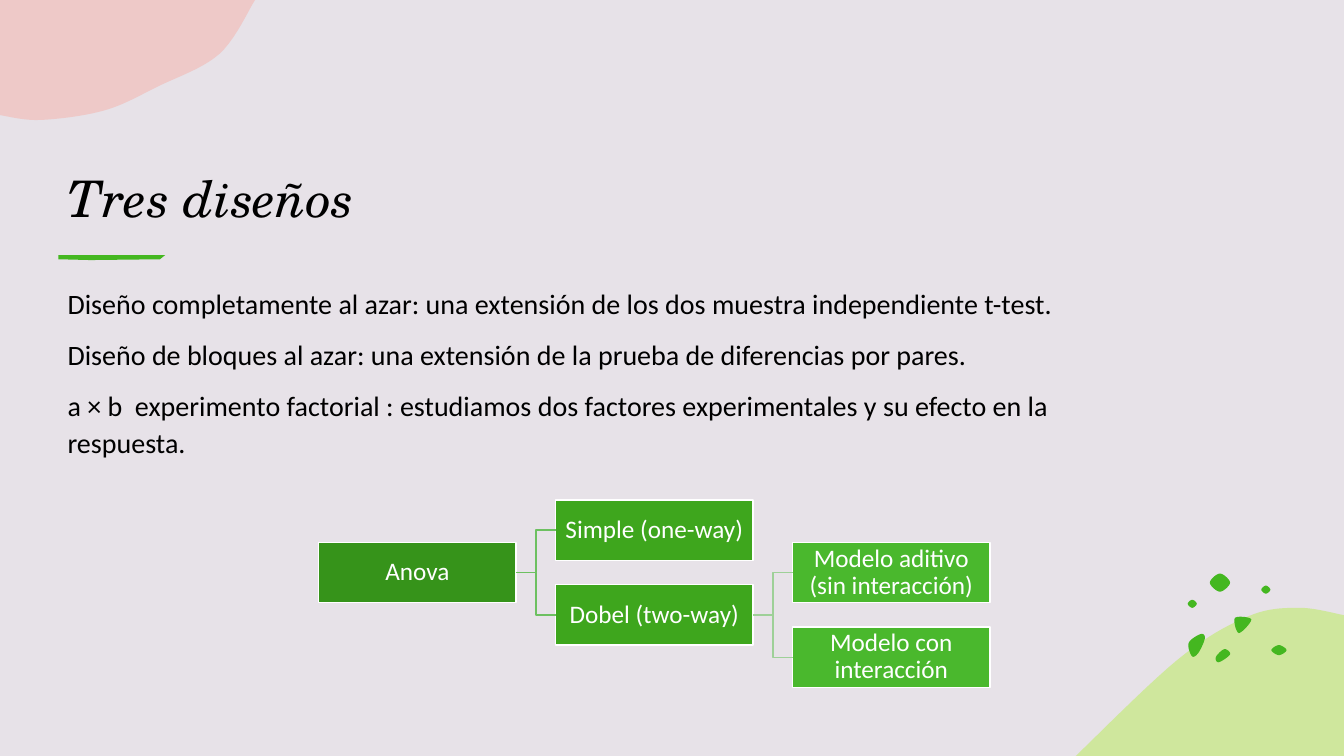
from dataclasses import dataclass
from typing import Any

import lxml.etree
import pptx
import pptx.dml.color
import pptx.enum.shapes
import pptx.enum.text
import pptx.oxml.ns
import pptx.slide
import pptx.util

Inches = pptx.util.Inches
Pt = pptx.util.Pt
qn = pptx.oxml.ns.qn
Point = tuple[float, float]


@dataclass(frozen=True)
class Theme:
    background: str = "E7E2E8"
    accent: str = "44B720"
    lime: str = "B8EC54"
    pink: str = "F5B1A9"
    ink: str = "000000"
    white: str = "FFFFFF"
    levels: tuple[str, ...] = ("36931A", "3EA61D", "4AB82D")
    branches: tuple[str, ...] = ("6DC061", "9ED098")
    title_font: str = "TeX Gyre Schola"
    body_font: str = "Calibri"
    title_size: int = 36
    body_size: int = 20
    node_size: int = 18


@dataclass(frozen=True)
class Profile:
    curve: tuple[Point, ...] = ()
    corners: tuple[Point, ...] = ()


@dataclass(frozen=True)
class Blob:
    profile: Profile
    left: float
    top: float
    width: float
    height: float
    color: str
    opacity: int = 100


@dataclass(frozen=True)
class Node:
    label: str
    level: int
    row: int
    parent: str = ""


THEME = Theme()
CURVE_STEPS = 10
NODE_WIDTH, NODE_HEIGHT = 1.96, 0.6
TREE_LEFT, TREE_TOP = 3.16, 4.96
LEVEL_STEP, ROW_STEP = 2.35, 0.42

ROUND = Profile(((0.5, 0), (1, 0.5), (0.5, 1), (0, 0.5)))
SLANTED = Profile(((0.6, 0), (1, 0.4), (0.2, 1), (0, 0.6)))
LEAF = Profile(((0.75, 0), (1, 0.2), (0.6, 0.85), (0.2, 1), (0, 0.4)))
WEDGE = Profile(((0.1, 0), (0.95, 0.1), (0.3, 1)))
HILL = Profile(((0, 1), (0.38, 0.35), (0.64, 0.06), (0.83, 0), (1, 0.05)), ((1, 1),))
CLOUD = Profile(((1, 0), (0.86, 0.45), (0.62, 0.72), (0.41, 0.92), (0.16, 1), (0, 0.96)), ((0, 0),))
STROKE = Profile(corners=((0, 0), (1, 0), (0.95, 0.85), (0.3, 1), (0, 0.85)))

BLOBS = (
    Blob(HILL, 10.67, 6.03, 2.66, 1.47, THEME.lime, 50),
    Blob(SLANTED, 12.06, 6.44, 0.14, 0.13, THEME.accent),
    Blob(LEAF, 11.79, 6.29, 0.16, 0.22, THEME.accent),
    Blob(ROUND, 12.61, 6.4, 0.15, 0.1, THEME.accent),
    Blob(ROUND, 12, 5.69, 0.2, 0.18, THEME.accent),
    Blob(ROUND, 12.51, 5.81, 0.09, 0.08, THEME.accent),
    Blob(ROUND, 11.78, 5.95, 0.09, 0.08, THEME.accent),
    Blob(WEDGE, 12.23, 6.13, 0.19, 0.15, THEME.accent),
    Blob(CLOUD, 0, 0, 2.53, 1.19, THEME.pink, 50),
    Blob(STROKE, 0.58, 2.53, 1.06, 0.05, THEME.accent),
)

NODES = (
    Node("Anova", 0, 1),
    Node("Simple (one-way)", 1, 0, "Anova"),
    Node("Dobel (two-way)", 1, 2, "Anova"),
    Node("Modelo aditivo (sin interacción)", 2, 1, "Dobel (two-way)"),
    Node("Modelo con interacción", 2, 3, "Dobel (two-way)"),
)

DESIGNS = (
    "Diseño completamente al azar: una extensión de los dos muestra independiente t-test.",
    "Diseño de bloques al azar: una extensión de la prueba de diferencias por pares.",
    "a × b  experimento factorial : estudiamos dos factores experimentales y su efecto en la respuesta.",
)


def rgb(color: str) -> pptx.dml.color.RGBColor:
    return pptx.dml.color.RGBColor.from_string(color)


def apply(target: Any, formats: dict[str, Any]) -> None:
    for attribute, value in formats.items():
        setattr(target, attribute, value)


def set_font(font: Any, name: str, size: int, color: str, italic: bool = False) -> None:
    apply(font, {"name": name, "size": Pt(size), "italic": italic})
    font.color.rgb = rgb(color)


def place(shape: Any, left: float, top: float, width: float, height: float) -> None:
    bounds = {"left": left, "top": top, "width": width, "height": height}
    apply(shape, {side: Inches(length) for side, length in bounds.items()})


def spline(before: float, start: float, end: float, after: float, t: float) -> float:
    slope, bend = end - before, 2 * before - 5 * start + 4 * end - after
    twist = 3 * start - before - 3 * end + after
    return start + (slope * t + bend * t**2 + twist * t**3) / 2


def trace(profile: Profile) -> list[Point]:
    curve = profile.curve
    if not curve:
        return list(profile.corners)
    if profile.corners:
        knots = (curve[0], *curve, curve[-1])
    else:
        knots = (curve[-1], *curve, *curve[:2])
    points = [curve[0]]
    for window in zip(knots, knots[1:], knots[2:], knots[3:]):
        xs, ys = zip(*window)
        for step in range(1, CURVE_STEPS + 1):
            t = step / CURVE_STEPS
            points.append((spline(*xs, t), spline(*ys, t)))
    return points + list(profile.corners)


def draw_blob(slide: pptx.slide.Slide, blob: Blob) -> None:
    start, *rest = [(Inches(blob.left + x * blob.width), Inches(blob.top + y * blob.height))
                    for x, y in trace(blob.profile)]
    builder = slide.shapes.build_freeform(*start)
    builder.add_line_segments(rest, close=True)
    shape = builder.convert_to_shape()
    shape.shadow.inherit = False
    shape.line.fill.background()
    shape.fill.solid()
    shape.fill.fore_color.rgb = rgb(blob.color)
    if blob.opacity < 100:
        color = shape._element.spPr.find(".//" + qn("a:srgbClr"))
        lxml.etree.SubElement(color, qn("a:alpha"), val=str(blob.opacity * 1000))


def draw_node(slide: pptx.slide.Slide, node: Node) -> Any:
    box = slide.shapes.add_shape(pptx.enum.shapes.MSO_SHAPE.RECTANGLE, 0, 0, 0, 0)
    place(box, TREE_LEFT + node.level * LEVEL_STEP, TREE_TOP + node.row * ROW_STEP,
          NODE_WIDTH, NODE_HEIGHT)
    box.shadow.inherit = False
    box.fill.solid()
    box.fill.fore_color.rgb = rgb(THEME.levels[node.level])
    box.line.color.rgb = rgb(THEME.white)
    box.line.width = Pt(1)
    margins = {f"margin_{side}": Inches(0.01) for side in ("left", "top", "right", "bottom")}
    apply(box.text_frame, {"word_wrap": True, "text": node.label, **margins,
                           "vertical_anchor": pptx.enum.text.MSO_ANCHOR.MIDDLE})
    label = box.text_frame.paragraphs[0]
    apply(label, {"alignment": pptx.enum.text.PP_ALIGN.CENTER, "line_spacing": 0.9})
    set_font(label.runs[0].font, THEME.body_font, THEME.node_size, THEME.white)
    return box


def draw_branch(slide: pptx.slide.Slide, parent: Any, child: Any, color: str) -> None:
    branch = slide.shapes.add_connector(pptx.enum.shapes.MSO_CONNECTOR.ELBOW, 0, 0, 0, 0)
    branch.begin_connect(parent, 3)
    branch.end_connect(child, 1)
    branch.line.color.rgb = rgb(color)
    branch.line.width = Pt(1)
    lxml.etree.SubElement(branch._element.spPr, qn("a:effectLst"))


def write_title(slide: pptx.slide.Slide) -> None:
    title = slide.shapes.title
    place(title, 0.57, 0.86, 11.02, 1.45)
    apply(title.text_frame, {"text": "Tres diseños", "word_wrap": True,
                             "auto_size": pptx.enum.text.MSO_AUTO_SIZE.NONE,
                             "vertical_anchor": pptx.enum.text.MSO_ANCHOR.BOTTOM})
    heading = title.text_frame.paragraphs[0]
    heading.alignment = pptx.enum.text.PP_ALIGN.LEFT
    set_font(heading.runs[0].font, THEME.title_font, THEME.title_size, THEME.ink, italic=True)


def write_designs(slide: pptx.slide.Slide) -> None:
    body = slide.placeholders[1]
    place(body, 0.57, 2.76, 11.02, 3.88)
    apply(body.text_frame, {"text": "\n".join(DESIGNS), "word_wrap": True,
                            "auto_size": pptx.enum.text.MSO_AUTO_SIZE.NONE})
    for index, design in enumerate(body.text_frame.paragraphs):
        properties = design._p.get_or_add_pPr()
        apply_indent = {"marL": "0", "indent": "0"}
        properties.attrib.update(apply_indent)
        lxml.etree.SubElement(properties, qn("a:buNone"))
        apply(design, {"line_spacing": 1.1, "space_before": Pt(10 if index else 0)})
        set_font(design.runs[0].font, THEME.body_font, THEME.body_size, THEME.ink)


def main() -> None:
    presentation = pptx.Presentation()
    apply(presentation, {"slide_width": Inches(13.33), "slide_height": Inches(7.5)})
    slide = presentation.slides.add_slide(presentation.slide_layouts[1])
    slide.background.fill.solid()
    slide.background.fill.fore_color.rgb = rgb(THEME.background)
    for blob in BLOBS:
        draw_blob(slide, blob)
    write_title(slide)
    write_designs(slide)
    boxes = {node.label: draw_node(slide, node) for node in NODES}
    for node in NODES:
        if node.parent:
            draw_branch(slide, boxes[node.parent], boxes[node.label], THEME.branches[node.level - 1])
    presentation.save("out.pptx")


if __name__ == "__main__":
    main()
